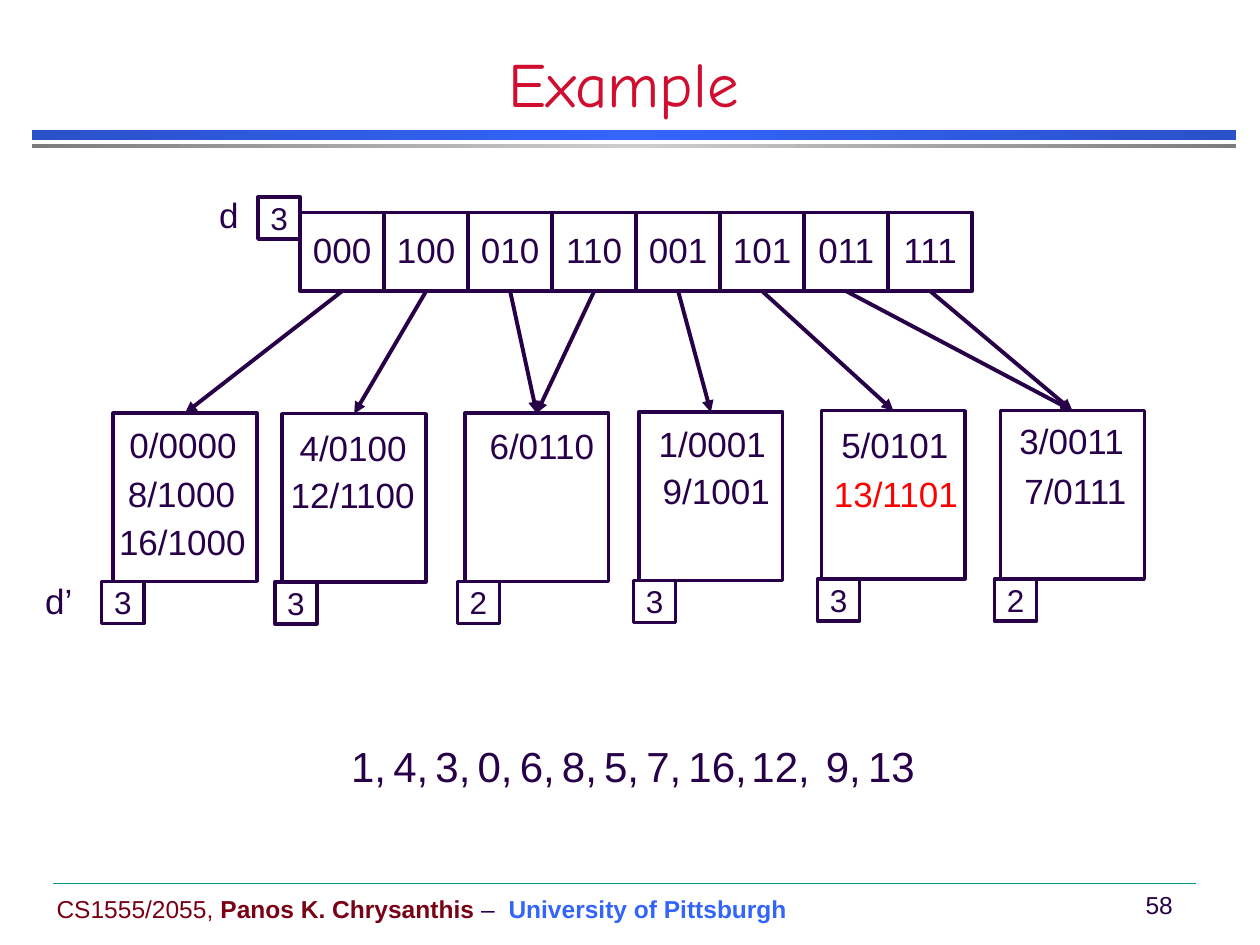
import copy

import pptx
import pptx.dml.color
import pptx.enum.shapes
import pptx.enum.text
import pptx.oxml.ns
import pptx.util
from lxml import etree

Cm, Pt = pptx.util.Cm, pptx.util.Pt
RGBColor = pptx.dml.color.RGBColor
ALIGN, ANCHOR = pptx.enum.text.PP_ALIGN, pptx.enum.text.MSO_ANCHOR
qn = pptx.oxml.ns.qn

INK = RGBColor(0x28, 0x00, 0x49)
ARROW = RGBColor(0x27, 0x00, 0x47)
WHITE = RGBColor(0xFF, 0xFF, 0xFF)
RED = RGBColor(0xFF, 0x00, 0x00)
CRIMSON = RGBColor(0xCF, 0x0E, 0x30)
MAROON = RGBColor(0x79, 0x00, 0x15)
BLUE = RGBColor(0x33, 0x65, 0xFB)
DARK_BLUE = RGBColor(0x29, 0x51, 0xC9)
GREY = RGBColor(0x7C, 0x7C, 0x7C)
LIGHT_GREY = RGBColor(0xCE, 0xCE, 0xCE)
TEAL = RGBColor(0x00, 0x96, 0x88)

BUCKET_W, BUCKET_H = 2.9, 3.39
DEPTH_SIDE = 0.85

DIRECTORY = ["000", "100", "010", "110", "001", "101", "011", "111"]
# left, top, local depth, depth box offset, entries (text, dx, dy)
BUCKETS = [
    (2.28, 8.33, "3", -0.23, [("0/0000", 0.08, 0.08), ("8/1000", 0.05, 1.07),
                              ("16/1000", -0.13, 2.03)]),
    (5.69, 8.34, "3", -0.15, [("4/0100", 0.1, 0.13), ("12/1100", -0.08, 1.09)]),
    (9.37, 8.33, "2", -0.15, [("6/0110", 0.25, 0.1)]),
    (12.88, 8.31, "3", -0.11, [("1/0001", 0.15, 0.08), ("9/1001", 0.23, 1.02)]),
    (16.56, 8.28, "3", -0.08, [("5/0101", 0.15, 0.13), ("13/1101", 0, 1.12)]),
    (20.17, 8.28, "2", -0.12, [("3/0011", 0.13, 0.05), ("7/0111", 0.23, 1.07)]),
]
POINTERS = [0, 1, 2, 2, 3, 4, 5, 5]  # bucket of each directory cell
NEW_ENTRY = "13/1101"
# each key with the advance to the next one
KEYS = [(key, 0.85) for key in ["1,", "4,", "3,", "0,", "6,", "8,", "5,", "7,"]]
KEYS += [("16,", 1.27), ("12,", 1.5), ("9,", 0.85), ("13", 0)]


def add_run(paragraph, text, size, color=INK, font="Arial", bold=False):
    run = paragraph.add_run()
    run.text = text
    run.font.name, run.font.size, run.font.bold = font, Pt(size), bold
    run.font.color.rgb = color


def add_label(slide, box, runs, align=ALIGN.LEFT, anchor=ANCHOR.TOP, wrap=False):
    label = slide.shapes.add_textbox(*map(Cm, box))
    frame = label.text_frame
    frame.word_wrap, frame.vertical_anchor = wrap, anchor
    frame.paragraphs[0].alignment = align
    for run in runs:
        add_run(frame.paragraphs[0], *run)


def add_box(slide, box):
    shape = slide.shapes.add_shape(pptx.enum.shapes.MSO_SHAPE.RECTANGLE, *map(Cm, box))
    shape.shadow.inherit = False
    shape.fill.solid()
    shape.fill.fore_color.rgb = WHITE
    shape.line.color.rgb, shape.line.width = INK, Pt(2)
    return shape


def add_text_box(slide, box, text, size, align, anchor):
    shape = add_box(slide, box)
    shape.text_frame.vertical_anchor = anchor
    paragraph = shape.text_frame.paragraphs[0]
    paragraph.alignment, paragraph.line_spacing = align, 0.9
    add_run(paragraph, text, size)
    return shape


def add_depth(slide, left, top, depth):
    add_text_box(slide, (left, top, DEPTH_SIDE, DEPTH_SIDE), depth, 18, ALIGN.LEFT, ANCHOR.TOP)


def add_line(slide, start, end, color, width):
    line = slide.shapes.add_connector(pptx.enum.shapes.MSO_CONNECTOR.STRAIGHT,
                                      *map(Cm, start + end))
    line.line.color.rgb, line.line.width = color, Pt(width)
    etree.SubElement(line._element.spPr, qn("a:effectLst"))
    return line


def add_band(slide, box, edge, middle):
    band = add_box(slide, box)
    band.line.fill.background()
    band.fill.gradient()
    band.fill.gradient_angle = 0
    stops = band.fill._fill._gradFill.find(qn("a:gsLst"))
    stops.insert(1, copy.deepcopy(stops[0]))
    for stop, position, color in zip(band.fill.gradient_stops, (0, 0.5, 1), (edge, middle, edge)):
        stop.position, stop.color.rgb = position, color


def add_header(slide, left, top, width):
    add_label(slide, (left, top, width, 1.47), [("Example", 36, CRIMSON, "Comic Neue")],
              ALIGN.CENTER, ANCHOR.BOTTOM, True)
    add_band(slide, (left + 0.64, top + 1.55, 24.28, 0.2), DARK_BLUE, BLUE)
    add_band(slide, (left + 0.64, top + 1.83, 24.28, 0.08), GREY, LIGHT_GREY)


def add_directory(slide, left, top, width, height):
    """Global depth and the row of directory cells; returns the cells."""
    cell_width = width / len(DIRECTORY)
    cells = [add_text_box(slide, (left + i * cell_width, top, cell_width, height), bits, 20,
                          ALIGN.CENTER, ANCHOR.MIDDLE)
             for i, bits in enumerate(DIRECTORY)]
    add_depth(slide, left - DEPTH_SIDE, top - 0.31, "3")
    add_label(slide, (left - 1.88, top - 0.51, 0.91, 1.11), [("d", 20)])
    return cells


def add_bucket(slide, left, top, depth, depth_dx, entries):
    """One bucket with its entries and local depth; returns the outline."""
    bucket = add_box(slide, (left, top, BUCKET_W, BUCKET_H))
    for text, dx, dy in entries:
        color = RED if text == NEW_ENTRY else INK
        add_label(slide, (left + dx, top + dy, 0.54 + 0.36 * len(text), 1.11),
                  [(text, 20, color)])
    add_depth(slide, left + depth_dx, top + BUCKET_H, depth)
    return bucket


def add_pointers(slide, cells, buckets):
    for cell, target in zip(cells, POINTERS):
        arrow = add_line(slide, (0, 0), (1, 1), ARROW, 2.25)
        arrow.begin_connect(cell, 2)
        arrow.end_connect(buckets[target], 0)
        etree.SubElement(arrow.line._get_or_add_ln(), qn("a:tailEnd"), type="triangle")


def add_keys(slide, left, top):
    for key, advance in KEYS:
        add_label(slide, (left, top, 1.9, 1.3), [(key, 24)], wrap=True)
        left += advance


def add_footer(slide, left, top, width):
    add_line(slide, (left, top), (left + width, top), TEAL, 0.25)
    add_label(slide, (left - 0.18, top + 0.08, 15.34, 0.84),
              [("CS1555/2055, ", 14, MAROON),
               ("Panos K. Chrysanthis", 14, MAROON, "Arial", True),
               (" –  ", 14),
               ("University of Pittsburgh", 14, BLUE, "Arial", True)], anchor=ANCHOR.MIDDLE)
    add_label(slide, (left + width - 1.27, top, 1.06, 0.84), [("58", 14)],
              ALIGN.CENTER, ANCHOR.MIDDLE)


def main():
    deck = pptx.Presentation()
    deck.slide_width, deck.slide_height = Cm(25.4), Cm(19.05)
    slide = deck.slides.add_slide(deck.slide_layouts[6])

    add_header(slide, 0, 1.07, 25.15)
    # Hash directory, buckets and the pointers between them
    cells = add_directory(slide, 6.05, 4.28, 13.55, 1.59)
    buckets = [add_bucket(slide, *bucket) for bucket in BUCKETS]
    add_label(slide, (0.66, 11.56, 1.07, 1.11), [("d’", 20)])
    add_pointers(slide, cells, buckets)
    # Inserted keys
    add_keys(slide, 6.83, 14.81)
    add_footer(slide, 1.07, 17.81, 23.04)

    deck.save("out.pptx")


if __name__ == "__main__":
    main()
